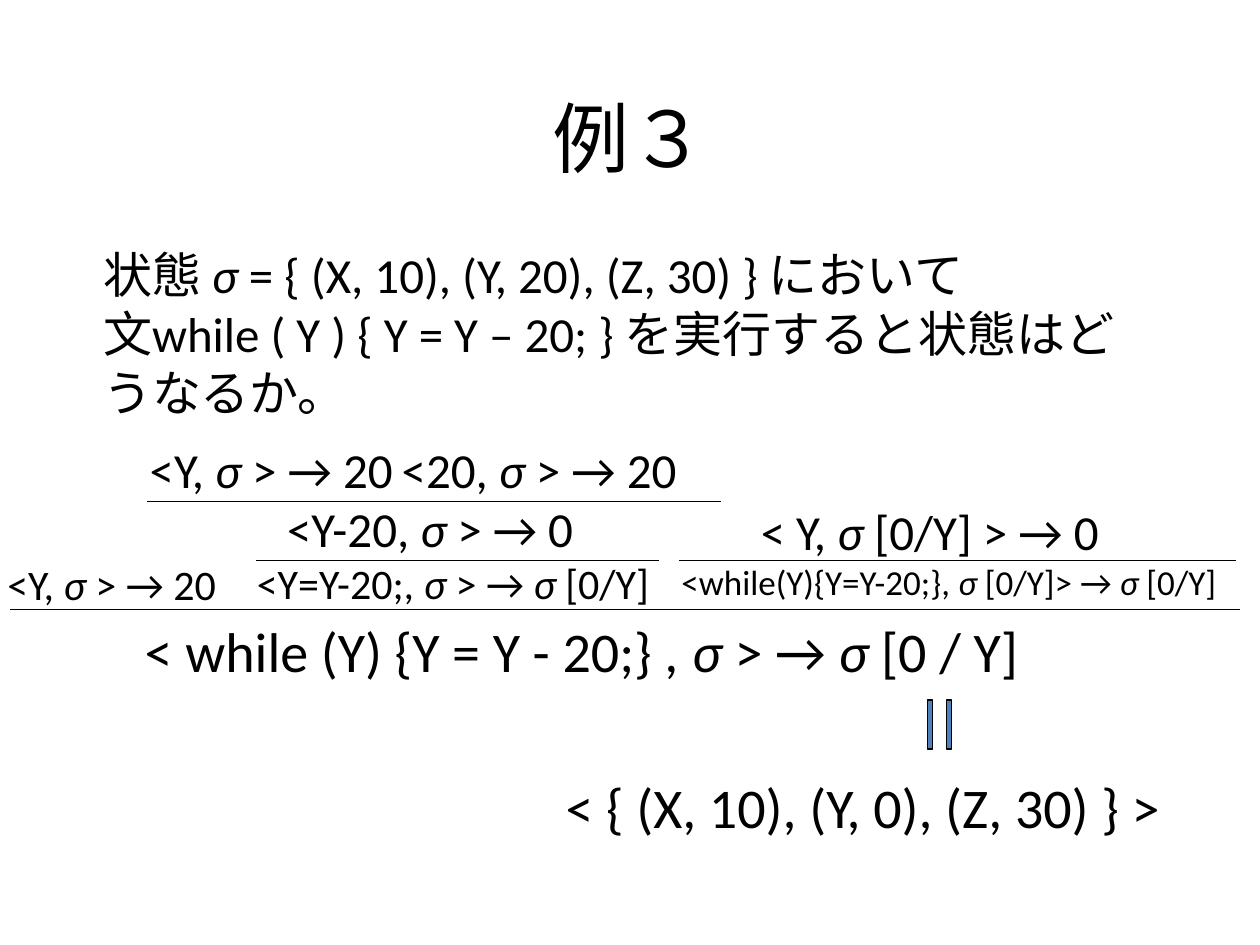
from lxml import etree
from pptx import Presentation
from pptx.dml.color import RGBColor
from pptx.enum.shapes import MSO_CONNECTOR, MSO_SHAPE
from pptx.enum.text import MSO_ANCHOR, PP_ALIGN
from pptx.oxml.ns import qn
from pptx.util import Inches, Pt

LINE = MSO_CONNECTOR.STRAIGHT
EQUAL = MSO_SHAPE.MATH_EQUAL
LEFT, CENTER = PP_ALIGN.LEFT, PP_ALIGN.CENTER
TOP, MIDDLE = MSO_ANCHOR.TOP, MSO_ANCHOR.MIDDLE
BLACK = "000000"

deck = Presentation()
deck.slide_width, deck.slide_height = Inches(10), Inches(7.5)
slide = deck.slides.add_slide(deck.slide_layouts[6])

# Grid of 100 columns by 75 rows
COL = deck.slide_width / 100
ROW = deck.slide_height / 75


def hue(code):
    return RGBColor.from_string(code)


def write(text, at, sizes, indents=(0, 0), tab=None, align=LEFT, anchor=TOP):
    """Write one paragraph per line of text, with every sigma in italics."""
    x, y, w, h = at
    box = slide.shapes.add_textbox(int(x * COL), int(y * ROW), int(w * COL), int(h * ROW))
    frame = box.text_frame
    frame.word_wrap = True
    frame.vertical_anchor = anchor
    for i, line in enumerate(text.split("\n")):
        para = frame.paragraphs[0] if i == 0 else frame.add_paragraph()
        para.alignment = align
        props = para._p.get_or_add_pPr()
        props.set("marL", str(int(indents[i] * COL)))
        props.set("indent", "0")
        if tab:
            stops = etree.SubElement(props, qn("a:tabLst"))
            etree.SubElement(stops, qn("a:tab"), pos=str(int(tab * COL)), algn="l")
        for part in line.replace("σ", "|σ|").split("|"):
            if part:
                run = para.add_run()
                run.text = part
                run.font.name = "Calibri"
                run.font.size = Pt(sizes[i])
                run.font.italic = part == "σ"
                run.font.color.rgb = hue(BLACK)


# Title and question
write("例３", (7.5, 4.6, 85, 12.5), [44], align=CENTER, anchor=MIDDLE)
write("状態 σ = { (X, 10), (Y, 20), (Z, 30) } において\n"
      "文while ( Y ) { Y = Y – 20; } を実行すると状態はどうなるか。",
      (7.2, 18.9, 83.8, 15.1), [28, 28])

# Derivation tree, from premises to conclusion
write("<Y, σ > → 20\t<20, σ > → 20", (10.9, 34.4, 47.6, 5.7), [28], tab=22.1)
write("<Y-20, σ > → 0\n<Y=Y-20;, σ > → σ [0/Y]",
      (15.6, 39.1, 39.1, 9.8), [28, 24], indents=(6.2, 3.8))
write("< Y, σ [0/Y] > → 0\n<while(Y){Y=Y-20;}, σ [0/Y]> → σ [0/Y]",
      (53.1, 39.3, 47.6, 9.1), [28, 20], indents=(6.3, 0))
write("<Y, σ > → 20", (-0.4, 43.8, 22.2, 5), [24])
write("< while (Y) {Y = Y - 20;} , σ > → σ [0 / Y]", (10.5, 48.4, 75.5, 6.4), [32])

# Rule bars: start column, end column, row
for start, end, row in [(11.7, 57.2, 39.8), (20.3, 52.3, 44.5),
                        (53.9, 98.1, 44.5), (0.8, 98.4, 48.4)]:
    bar = slide.shapes.add_connector(LINE, int(start * COL), int(row * ROW),
                                     int(end * COL), int(row * ROW))
    bar.line.color.rgb = hue(BLACK)
    bar.line.width = Pt(0.75)
    etree.SubElement(bar._element.spPr, qn("a:effectLst"))

# Upright equals sign and final state
sign = slide.shapes.add_shape(EQUAL, int(71.9 * COL), int(55.5 * ROW),
                              int(5.3 * COL), int(4 * ROW))
sign.rotation = 270
sign.adjustments[0], sign.adjustments[1] = 0.1, 0.28
sign.shadow.inherit = False
sign.fill.solid()
sign.fill.fore_color.rgb = hue("4F81BD")
sign.line.color.rgb = hue(BLACK)
sign.line.width = Pt(0.75)
write("< { (X, 10), (Y, 0), (Z, 30) } >", (43.9, 60.8, 50.6, 6.4), [32])

deck.save("out.pptx")
